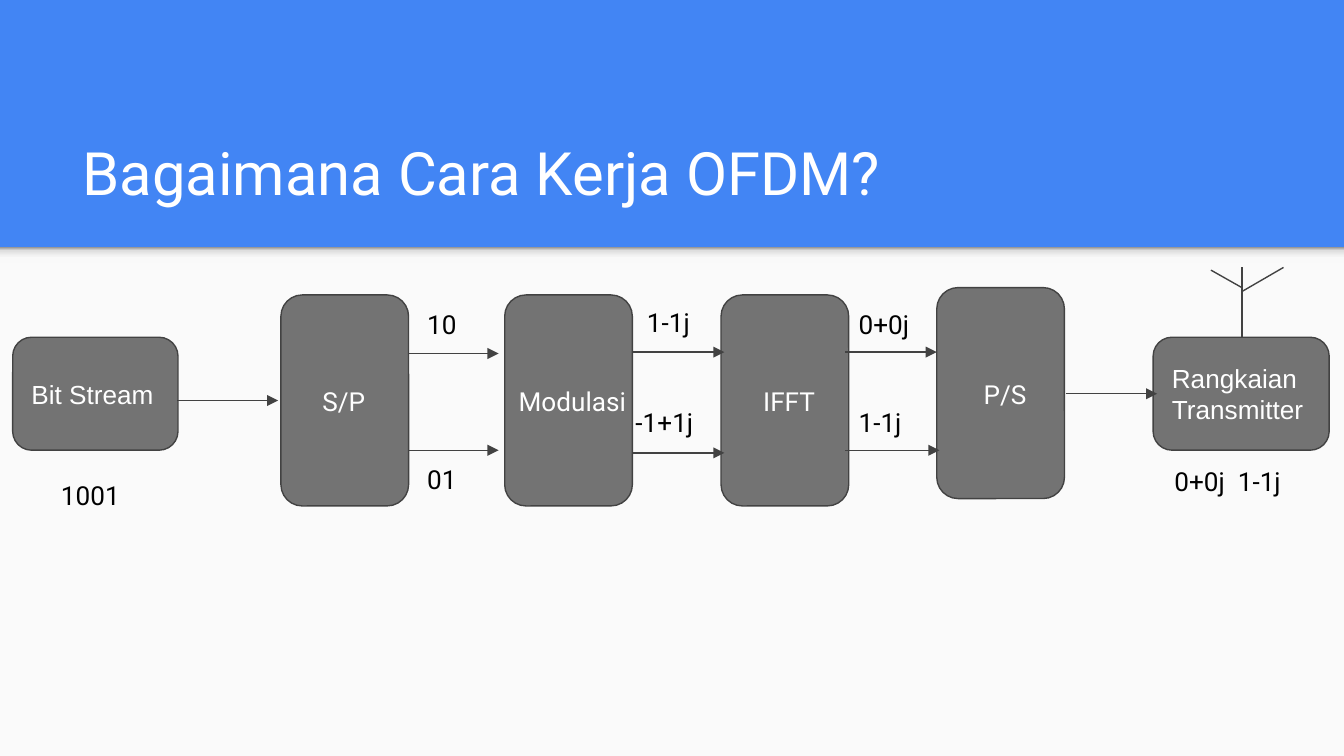
from copy import deepcopy
from dataclasses import dataclass

from lxml import etree
from pptx import Presentation
from pptx.dml.color import RGBColor
from pptx.enum.shapes import MSO_CONNECTOR, MSO_SHAPE
from pptx.enum.text import MSO_ANCHOR, PP_ALIGN
from pptx.oxml.ns import qn
from pptx.util import Inches, Pt

BLOCK = MSO_SHAPE.FLOWCHART_ALTERNATE_PROCESS
RECTANGLE = MSO_SHAPE.RECTANGLE
STRAIGHT = MSO_CONNECTOR.STRAIGHT
LEFT = PP_ALIGN.LEFT
TOP, MIDDLE, BOTTOM = MSO_ANCHOR.TOP, MSO_ANCHOR.MIDDLE, MSO_ANCHOR.BOTTOM

BLUE = RGBColor(0x42, 0x85, 0xF4)
PAPER = RGBColor(0xFA, 0xFA, 0xFA)
GRAY = RGBColor(0x73, 0x73, 0x73)
DARK = RGBColor(0x42, 0x42, 0x42)
WHITE = RGBColor(0xFF, 0xFF, 0xFF)
BLACK = RGBColor(0x00, 0x00, 0x00)
SHADE_STOPS = [
    (0, RGBColor(0xF9, 0xF9, 0xF9)),
    (0.36, RGBColor(0xF9, 0xF9, 0xF9)),
    (0.8, RGBColor(0xDE, 0xDE, 0xDE)),
    (1, RGBColor(0x99, 0x99, 0x99)),
]

COLUMNS, ROWS = 100, 56.25
CELL = Inches(10) // COLUMNS
LABEL_HEIGHT = 4.2
STAGE_WIDTH, STAGE_HEIGHT = 9.5, 15.7

STAGES = [(20.9, 3.55), (37.55, 3.55), (53.65, 3.55), (69.7, 3)]
STAGE_NAMES = [
    ("S/P", 23, 9.3, 5.2), ("Modulasi", 37.6, 9.3, 11.2),
    ("IFFT", 55.8, 9.3, 7.1), ("P/S", 72.2, 8.75, 7.1),
]
TERMINALS = [("Bit Stream", 0.95, 12.3), ("Rangkaian\nTransmitter", 85.8, 13.1)]
FLOWS = [
    (13.2, 20.7, 11.4),
    (30.4, 37.1, 7.9), (30.4, 37.1, 15.1),
    (47.1, 53.9, 7.8), (47.1, 53.9, 15.3),
    (62.9, 69.7, 7.8), (62.9, 69.9, 15.1),
    (79.3, 86.1, 10.9),
]
SIGNALS = [
    ("1001", 3.55, 16.3, 7.1),
    ("10", 30.8, 3.55, 5.2), ("01", 30.8, 15.1, 5.2),
    ("1-1j", 47.15, 3.4, 6.8), ("-1+1j", 46.3, 10.85, 6.8),
    ("0+0j", 62.9, 3.55, 6.8), ("1-1j", 62.9, 10.85, 6.8),
    ("0+0j  1-1j", 86.4, 15.25, 12.3),
]
ANTENNA = [(3.8, 0, 3.8, 5.2), (1.5, 0.2, 3.8, 1.5), (3.8, 1.8, 6.9, 0)]


@dataclass
class Box:
    """A region measured in grid columns and rows."""
    column: float
    row: float
    width: float
    height: float

    def inner(self, column, row, width, height):
        """Return a region placed relative to this one."""
        return Box(self.column + column, self.row + row, width, height)

    def lengths(self):
        """Return left, top, width and height as slide lengths."""
        return [round(value * CELL) for value in (self.column, self.row, self.width, self.height)]


def write_text(shape, text, font, size, color, anchor=TOP):
    """Fill a shape with text and format it."""
    frame = shape.text_frame
    frame.word_wrap = True
    frame.vertical_anchor = anchor
    frame.margin_left = frame.margin_right = Inches(0.1)
    frame.margin_top = frame.margin_bottom = Inches(0.1)
    frame.text = text
    for paragraph in frame.paragraphs:
        paragraph.alignment = LEFT
        for run in paragraph.runs:
            run.font.name = font
            run.font.size = Pt(size)
            run.font.color.rgb = color


def add_panel(slide, box):
    """Add a borderless light rectangle."""
    panel = slide.shapes.add_shape(RECTANGLE, *box.lengths())
    panel.shadow.inherit = False
    panel.fill.solid()
    panel.fill.fore_color.rgb = PAPER
    panel.line.fill.background()
    return panel


def add_body_panel(slide, box):
    """Add the light body area with a shade along its top edge."""
    add_panel(slide, box)
    shade = add_panel(slide, box.inner(0, 0, box.width, 1.2))
    shade.fill.gradient()
    shade.fill.gradient_angle = 90
    stop_list = shade.element.spPr.find(qn("a:gradFill")).find(qn("a:gsLst"))
    for stop in list(stop_list):
        stop_list.append(deepcopy(stop))
    for stop, (position, color) in zip(shade.fill.gradient_stops, SHADE_STOPS):
        stop.position = position
        stop.color.rgb = color


def add_title(slide, box):
    """Place and format the title placeholder."""
    title = slide.shapes.title
    title.left, title.top, title.width, title.height = box.lengths()
    write_text(title, "Bagaimana Cara Kerja OFDM?", "Roboto", 32, WHITE, BOTTOM)


def add_block(slide, box):
    """Add a rounded gray block."""
    block = slide.shapes.add_shape(BLOCK, *box.lengths())
    block.shadow.inherit = False
    block.fill.solid()
    block.fill.fore_color.rgb = GRAY
    block.line.color.rgb = DARK
    block.line.width = Pt(0.75)
    return block


def add_labels(slide, box, labels, color):
    """Add a row of short texts in one colour."""
    for text, column, row, width in labels:
        label = slide.shapes.add_textbox(*box.inner(column, row, width, LABEL_HEIGHT).lengths())
        write_text(label, text, "Roboto", 14, color)


def add_line(slide, box, start_column, start_row, end_column, end_row, arrow=False):
    """Add a thin line, optionally with an arrowhead at its end."""
    start = box.inner(start_column, start_row, 0, 0).lengths()[:2]
    end = box.inner(end_column, end_row, 0, 0).lengths()[:2]
    connector = slide.shapes.add_connector(STRAIGHT, *start, *end)
    connector.line.color.rgb = DARK
    connector.line.width = Pt(0.75)
    properties = connector.element.spPr
    if arrow:
        etree.SubElement(properties.find(qn("a:ln")), qn("a:tailEnd"), type="triangle")
    etree.SubElement(properties, qn("a:effectLst"))


def add_antenna(slide, box):
    """Draw the mast and the two arms of the antenna."""
    for segment in ANTENNA:
        add_line(slide, box, *segment)


def add_diagram(slide, box):
    """Draw the OFDM transmitter chain from bit stream to antenna."""
    for text, column, width in TERMINALS:
        terminal = add_block(slide, box.inner(column, 6.7, width, 8.4))
        write_text(terminal, text, "Arial", 14, WHITE, MIDDLE)
    for column, row in STAGES:
        add_block(slide, box.inner(column, row, STAGE_WIDTH, STAGE_HEIGHT))
    add_labels(slide, box, STAGE_NAMES, WHITE)
    for start, end, row in FLOWS:
        add_line(slide, box, start, row, end, row, arrow=True)
    add_labels(slide, box, SIGNALS, BLACK)
    add_antenna(slide, box.inner(88.6, 1.5, 6.9, 5.2))


def main():
    """Build and save the presentation."""
    presentation = Presentation()
    presentation.slide_width = COLUMNS * CELL
    presentation.slide_height = round(ROWS * CELL)
    slide = presentation.slides.add_slide(presentation.slide_layouts[5])
    slide.background.fill.solid()
    slide.background.fill.fore_color.rgb = BLUE
    body = Box(0, 18.4, COLUMNS, ROWS - 18.4)
    add_body_panel(slide, body)
    add_title(slide, Box(5.15, 8.05, 89.9, 8.4))
    add_diagram(slide, body)
    presentation.save("out.pptx")


if __name__ == "__main__":
    main()
